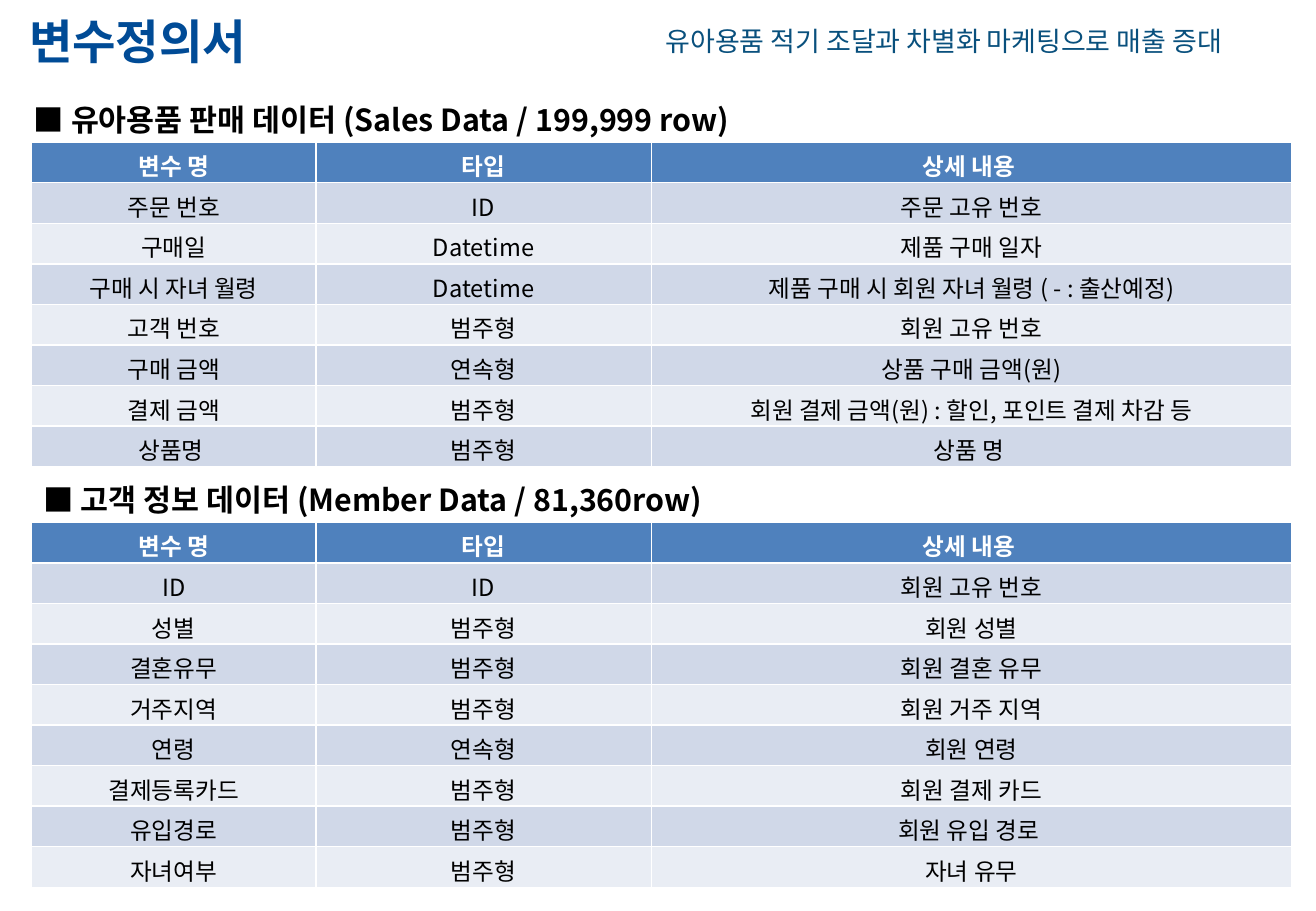
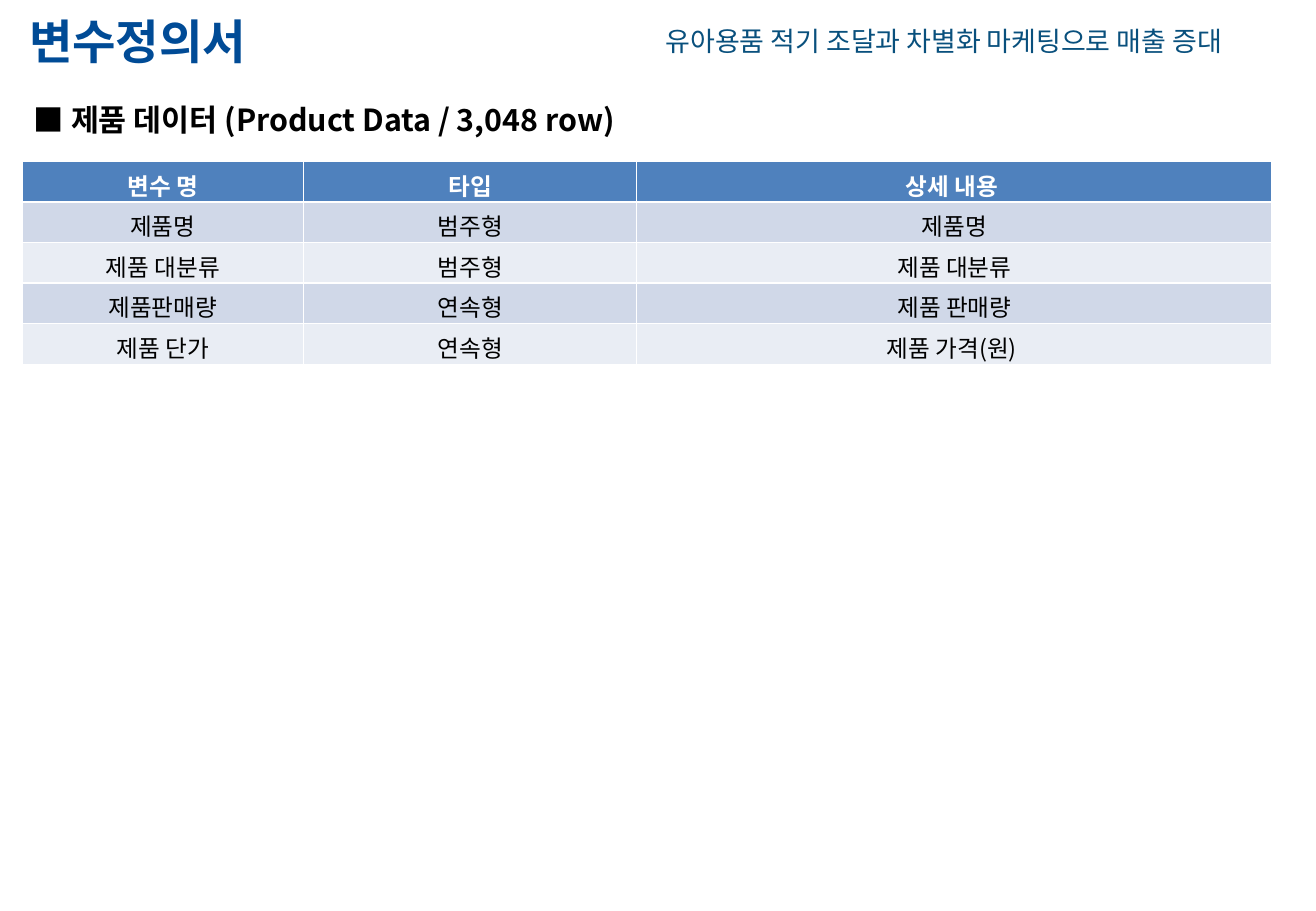
from lxml.etree import SubElement
from pptx import Presentation
from pptx.dml.color import RGBColor
from pptx.enum.text import MSO_ANCHOR as Anchor, MSO_AUTO_SIZE as AutoSize, PP_ALIGN as Align
from pptx.oxml.ns import qn
from pptx.util import Inches, Pt

FONT = "Noto Sans CJK KR"
TITLE_BLUE = RGBColor(0x00, 0x4B, 0x96)
SLOGAN_BLUE = RGBColor(0x09, 0x50, 0x7D)
HEADER_BLUE = RGBColor(0x4F, 0x81, 0xBD)
BANDS = [RGBColor(0xD0, 0xD8, 0xE8), RGBColor(0xE9, 0xED, 0xF4)]
BLACK = RGBColor(0x00, 0x00, 0x00)
WHITE = RGBColor(0xFF, 0xFF, 0xFF)

TITLE = "변수정의서"
SLOGAN = "유아용품 적기 조달과 차별화 마케팅으로 매출 증대"
HEADER = ("변수 명", "타입", "상세 내용 ")
ROW_HEIGHT = Inches(0.33)
WIDE_COLUMNS = (2.34, 2.76, 5.27)
NARROW_COLUMNS = (2.32, 2.74, 5.23)

SALES = [
    ("주문 번호", "ID", "주문 고유 번호"),
    ("구매일", "Datetime", "제품 구매 일자"),
    ("구매 시 자녀 월령", "Datetime", "제품 구매 시 회원 자녀 월령 ( - : 출산예정)"),
    ("고객 번호", "범주형", "회원 고유 번호"),
    ("구매 금액", "연속형", "상품 구매 금액(원)"),
    ("결제 금액", "범주형", "회원 결제 금액(원) : 할인, 포인트 결제 차감 등"),
    ("상품명 ", "범주형", "상품 명 "),
]
MEMBERS = [
    ("ID", "ID", "회원 고유 번호"),
    ("성별", "범주형", "회원 성별"),
    ("결혼유무", "범주형", "회원 결혼 유무"),
    ("거주지역", "범주형", "회원 거주 지역"),
    ("연령", "연속형", "회원 연령"),
    ("결제등록카드", "범주형", "회원 결제 카드"),
    ("유입경로", "범주형", "회원 유입 경로 "),
    ("자녀여부", "범주형", "자녀 유무"),
]
PRODUCTS = [
    ("제품명", "범주형", "제품명"),
    ("제품 대분류", "범주형", "제품 대분류"),
    ("제품판매량", "연속형", "제품 판매량"),
    ("제품 단가", "연속형", "제품 가격(원) "),
]

# Each section: heading, heading left and top, table left and top, column widths, rows
PAGES = [
    [
        ("■ 유아용품 판매 데이터 (Sales Data / 199,999 row)",
         0.18, 0.78, 0.26, 1.17, WIDE_COLUMNS, SALES),
        ("■ 고객 정보 데이터 (Member Data / 81,360row)",
         0.26, 3.91, 0.26, 4.3, WIDE_COLUMNS, MEMBERS),
    ],
    [
        ("■ 제품 데이터 (Product Data / 3,048 row)",
         0.18, 0.78, 0.18, 1.33, NARROW_COLUMNS, PRODUCTS),
    ],
]


def write(frame, text, size, color, bold=False, align=Align.LEFT):
    """Put one formatted run into the first paragraph of a text frame."""
    para = frame.paragraphs[0]
    para.alignment = align
    span = para.add_run()
    span.text = text
    span.font.size = Pt(size)
    span.font.bold = bold
    span.font.color.rgb = color
    span.font.name = FONT
    SubElement(span.font._element, qn("a:ea"), typeface=FONT)


def add_text(page, left, top, width, height, *style):
    box = page.shapes.add_textbox(Inches(left), Inches(top), Inches(width), Inches(height))
    box.text_frame.word_wrap = True
    write(box.text_frame, *style)


deck = Presentation()
deck.slide_width, deck.slide_height = Inches(10.83), Inches(7.5)
title_only = deck.slide_layouts[5]

for sections in PAGES:
    page = deck.slides.add_slide(title_only)
    title = page.shapes.title
    title.left, title.top = Inches(0.14), Inches(0.05)
    title.width, title.height = Inches(7.25), Inches(0.57)
    title.text_frame.vertical_anchor = Anchor.TOP
    title.text_frame.auto_size = AutoSize.NONE
    write(title.text_frame, TITLE, 28, TITLE_BLUE, True)
    add_text(page, 5.38, 0.15, 5.37, 0.37, SLOGAN, 16, SLOGAN_BLUE)

    for heading, left, top, table_left, table_top, widths, rows in sections:
        add_text(page, left, top, 7.66, 0.4, heading, 18, BLACK, True)
        lines = [HEADER] + rows
        table = page.shapes.add_table(
            len(lines), len(widths), Inches(table_left), Inches(table_top),
            Inches(sum(widths)), ROW_HEIGHT * len(lines)).table
        for column, width in zip(table.columns, widths):
            column.width = Inches(width)
        for index, line in enumerate(lines):
            is_header = index == 0
            for position, text in enumerate(line):
                cell = table.cell(index, position)
                cell.margin_left = cell.margin_right = Inches(0.08)
                cell.fill.solid()
                cell.fill.fore_color.rgb = HEADER_BLUE if is_header else BANDS[(index - 1) % 2]
                write(cell.text_frame, text, 14, WHITE if is_header else BLACK,
                      is_header, Align.CENTER)

deck.save("out.pptx")
